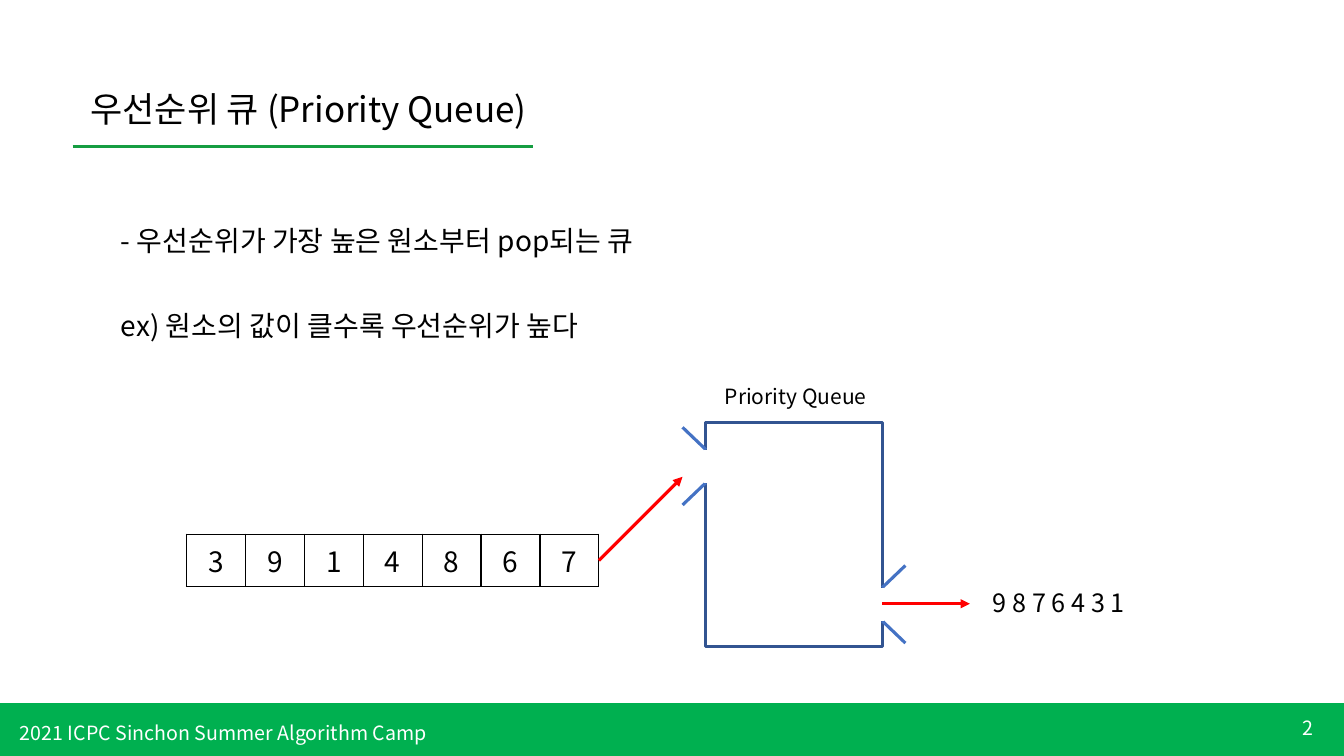
from pptx import Presentation
from pptx.dml.color import RGBColor
from pptx.enum.shapes import MSO_CONNECTOR, MSO_SHAPE
from pptx.enum.text import MSO_ANCHOR, PP_ALIGN
from pptx.oxml import parse_xml
from pptx.oxml.ns import nsdecls, qn
from pptx.util import Inches, Pt
from lxml import etree

STRAIGHT = MSO_CONNECTOR.STRAIGHT
RECTANGLE = MSO_SHAPE.RECTANGLE
TOP, MIDDLE = MSO_ANCHOR.TOP, MSO_ANCHOR.MIDDLE
LEFT, CENTER, RIGHT = PP_ALIGN.LEFT, PP_ALIGN.CENTER, PP_ALIGN.RIGHT

BLACK, WHITE, RED = "000000", "FFFFFF", "FF0000"
FOOTER_GREEN, RULE_GREEN = "00B050", "159D41"
QUEUE_BLUE, FLAP_BLUE = "325491", "4472C4"


def color(hex_value):
    return RGBColor.from_string(hex_value)


class SlideBuilder:
    font = "Noto Sans CJK KR"
    stroke = 2.25

    def __init__(self, slide):
        self.slide = slide
        self.shapes = slide.shapes

    def run(self, paragraph, text, size, ink=BLACK):
        run = paragraph.add_run()
        run.text = text
        run.font.size = Pt(size)
        run.font.name = self.font
        run.font.color.rgb = color(ink)
        east_asian = etree.SubElement(run.font._element, qn("a:ea"))
        east_asian.set("typeface", self.font)

    def text(self, box, text, size, ink=BLACK, align=LEFT, anchor=TOP):
        frame = self.shapes.add_textbox(*map(Inches, box)).text_frame
        frame.word_wrap = True
        frame.vertical_anchor = anchor
        paragraph = frame.paragraphs[0]
        paragraph.alignment = align
        self.run(paragraph, text, size, ink)

    def rectangle(self, box, outline, width, fill=None):
        shape = self.shapes.add_shape(RECTANGLE, *map(Inches, box))
        shape.shadow.inherit = False
        if fill:
            shape.fill.solid()
            shape.fill.fore_color.rgb = color(fill)
        else:
            shape.fill.background()
        shape.line.color.rgb = color(outline)
        shape.line.width = Pt(width)

    def line(self, start, end, ink, arrow=False):
        connector = self.shapes.add_connector(
            STRAIGHT, *map(Inches, (*start, *end)))
        connector.line.color.rgb = color(ink)
        connector.line.width = Pt(self.stroke)
        if arrow:
            head = etree.SubElement(connector.line._get_or_add_ln(), qn("a:tailEnd"))
            head.set("type", "triangle")
        etree.SubElement(connector._element.spPr, qn("a:effectLst"))

    def border(self, cell):
        properties = cell._tc.get_or_add_tcPr()
        for index, side in enumerate(("lnL", "lnR", "lnT", "lnB")):
            properties.insert(index, parse_xml(
                f'<a:{side} {nsdecls("a")} w="{Pt(1)}"><a:solidFill>'
                f'<a:srgbClr val="{BLACK}"/></a:solidFill></a:{side}>'))

    def array(self, box, values, size):
        table = self.shapes.add_table(1, len(values), *map(Inches, box)).table
        table.first_row = table.horz_banding = False
        for column, value in enumerate(values):
            cell = table.cell(0, column)
            cell.fill.background()
            cell.vertical_anchor = MIDDLE
            cell.margin_left = cell.margin_right = Inches(0.13)
            cell.margin_top = cell.margin_bottom = Inches(0.06)
            paragraph = cell.text_frame.paragraphs[0]
            paragraph.alignment = CENTER
            self.run(paragraph, str(value), size)
            self.border(cell)

    def opening(self, x, top, direction):
        """Gap in the queue wall with a flap above and one below."""
        bottom = top + 0.33
        flap_x = x + 0.23 * direction
        self.line((x, top), (flap_x, top - 0.22), FLAP_BLUE)
        self.line((x, bottom), (flap_x, bottom + 0.22), FLAP_BLUE)
        self.line((x, top), (x, bottom), WHITE)


def main():
    presentation = Presentation()
    presentation.slide_width = Inches(13.33)
    presentation.slide_height = Inches(7.5)
    blank = presentation.slide_layouts[6]
    page = SlideBuilder(presentation.slides.add_slide(blank))

    # Footer
    page.rectangle((0, 6.98, 13.33, 0.52), FOOTER_GREEN, 1, FOOTER_GREEN)
    page.text((12.12, 7.02, 1, 0.4), "2", 14, WHITE, RIGHT, MIDDLE)
    page.text((0.1, 7.1, 5.76, 0.34),
              "2021 ICPC Sinchon Summer Algorithm Camp", 14, WHITE)

    # Title
    page.line((0.72, 1.45), (5.29, 1.45), RULE_GREEN)
    page.text((0.8, 0.82, 4.88, 0.52), "우선순위 큐 (Priority Queue)", 25)

    # Definition and example
    page.text((1.1, 2.17, 6.09, 0.44),
              "- 우선순위가 가장 높은 원소부터 pop되는 큐", 20)
    page.text((1.1, 3.01, 6.09, 0.44),
              "ex) 원소의 값이 클수록 우선순위가 높다", 20)

    # Queue with its entrance and exit
    queue_left, queue_width = 7, 1.75
    queue_right = queue_left + queue_width
    page.rectangle((queue_left, 4.19, queue_width, 2.22), QUEUE_BLUE, page.stroke)
    page.opening(queue_left, 4.46, -1)
    page.opening(queue_right, 5.83, 1)
    page.text((7.09, 3.76, 1.98, 0.35), "Priority Queue", 15)

    # Input values, pushed in and popped in order
    values = [3, 9, 1, 4, 8, 6, 7]
    page.array((1.85, 5.3, 4.09, 0.52), values, 20)
    page.line((5.94, 5.56), (6.77, 4.73), RED, arrow=True)
    page.line((queue_right, 5.99), (9.62, 5.99), RED, arrow=True)
    popped = " ".join(map(str, sorted(values, reverse=True)))
    page.text((9.75, 5.78, 1.98, 0.4), popped, 18)

    presentation.save("out.pptx")


if __name__ == "__main__":
    main()
